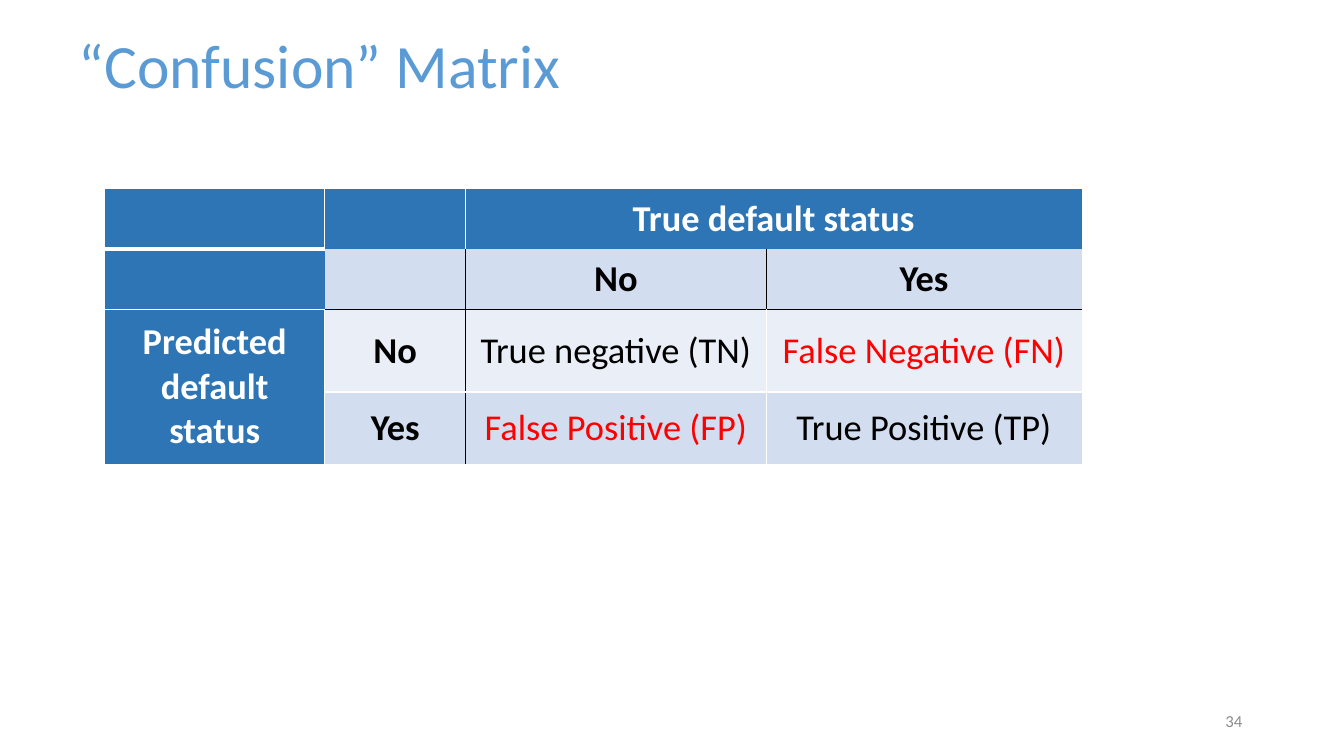
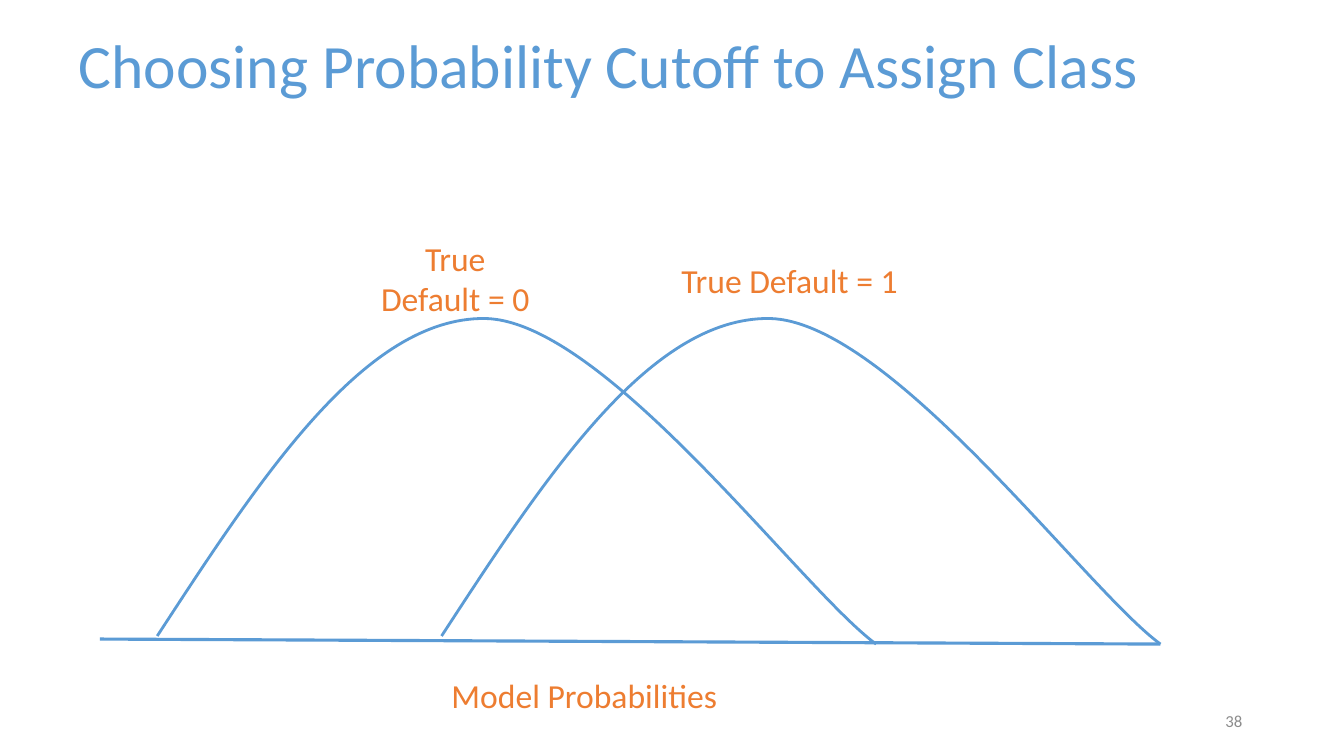
import pptx
import pptx.util
import pptx.dml.color
import pptx.enum.shapes
import pptx.enum.text
import pptx.oxml.ns
from lxml import etree

PX = 9144  # 100 px to the inch
FONT = "Calibri"
BLUE, ORANGE, GREY = "5B9BD5", "ED7D31", "8C8C8C"
HEAD, DARK_BAND, LIGHT_BAND = "2E75B6", "D2DEEF", "EAEFF7"
WHITE, BLACK, RED = "FFFFFF", "000000", "FF0000"
LEFT, CENTER, RIGHT = (pptx.enum.text.PP_ALIGN.LEFT, pptx.enum.text.PP_ALIGN.CENTER,
                       pptx.enum.text.PP_ALIGN.RIGHT)
MIDDLE, TOP = pptx.enum.text.MSO_ANCHOR.MIDDLE, pptx.enum.text.MSO_ANCHOR.TOP

TITLE_BOX = (68, 9, 1189, 118)
NUMBER_BOX = (942, 695, 300, 40)

# Confusion matrix: (text, fill, text colour, bold)
MATRIX_AT = (104, 187)
MATRIX_COLS = [218, 140, 298, 313]
MATRIX_ROWS = [60, 60, 82, 71]
MATRIX = [
    [("", HEAD, WHITE, True), ("", HEAD, WHITE, True),
     ("True default status", HEAD, WHITE, True), ("", HEAD, WHITE, True)],
    [("", HEAD, WHITE, True), ("", DARK_BAND, BLACK, True),
     ("No", DARK_BAND, BLACK, True), ("Yes", DARK_BAND, BLACK, True)],
    [("Predicted default status", HEAD, WHITE, True), ("No", LIGHT_BAND, BLACK, True),
     ("True negative (TN)", LIGHT_BAND, BLACK, False),
     ("False Negative (FN)", LIGHT_BAND, RED, False)],
    [("", HEAD, WHITE, True), ("Yes", DARK_BAND, BLACK, True),
     ("False Positive (FP)", DARK_BAND, RED, False),
     ("True Positive (TP)", DARK_BAND, BLACK, False)],
]
MERGES = [((0, 2), (0, 3)), ((2, 0), (3, 0))]
# Inner rules: (side, rows, columns, colour, points)
RULES = [
    ("R", [0, 2, 3], [0], WHITE, 1),
    ("R", [0], [1], WHITE, 1),
    ("R", [1, 2, 3], [1], BLACK, 1),
    ("R", [2, 3], [2], WHITE, 1),
    ("B", [0], [0], WHITE, 3),
    ("B", [1], [0], WHITE, 1),
    ("B", [1], [1, 2, 3], BLACK, 1),
    ("B", [2], [1, 2, 3], WHITE, 1),
]
NO_STYLE = "{2D5ABB26-0587-4C30-8999-92F81FD0307C}"

# Two class distributions: Bezier points of one curve, and where each curve starts
CURVE = [(0, 631), (103, 473), (206, 315), (325, 316), (444, 318), (639, 585), (713, 639)]
CURVE_STARTS = [156, 438]
AXIS = (99, 634, 1151, 639)
CURVE_LABELS = [
    (["True Default = 1"], (666, 253, 237, 50), LEFT),
    (["True", "Default = 0"], (367, 231, 169, 91), CENTER),
    (["Model Probabilities"], (438, 665, 294, 50), LEFT),
]


def px(*lengths):
    return [pptx.util.Emu(length * PX) for length in lengths]


def rgb(value):
    return pptx.dml.color.RGBColor.from_string(value)


def style(paragraph, size, color, bold=False, align=LEFT):
    paragraph.alignment = align
    font = paragraph.font
    font.name, font.size, font.bold = FONT, pptx.util.Pt(size), bold
    font.color.rgb = rgb(color)


def add_label(slide, lines, box, size, color, align, anchor=TOP, wrap=False):
    frame = slide.shapes.add_textbox(*px(*box)).text_frame
    frame.word_wrap, frame.vertical_anchor = wrap, anchor
    frame.text = "\n".join(lines)
    for paragraph in frame.paragraphs:
        style(paragraph, size, color, align=align)


def add_slide(deck, heading, number):
    slide = deck.slides.add_slide(deck.slide_layouts[5])
    title = slide.shapes.title
    title.left, title.top, title.width, title.height = px(*TITLE_BOX)
    frame = title.text_frame
    frame.text = heading
    frame.vertical_anchor = MIDDLE
    frame.auto_size = pptx.enum.text.MSO_AUTO_SIZE.NONE
    style(frame.paragraphs[0], 44, BLUE)
    frame.paragraphs[0].line_spacing = 0.9
    add_label(slide, [number], NUMBER_BOX, 12, GREY, RIGHT, MIDDLE, wrap=True)
    return slide


def sub(parent, tag, **attributes):
    return etree.SubElement(parent, pptx.oxml.ns.qn(tag), **attributes)


def cell_borders():
    """Each rule belongs to the two cells that meet at it."""
    borders = {}
    for side, rows, columns, color, points in RULES:
        for row in rows:
            for column in columns:
                if side == "R":
                    neighbour = (row, column + 1, "L")
                else:
                    neighbour = (row + 1, column, "T")
                borders[row, column, side] = borders[neighbour] = (color, points)
    return borders


def add_matrix(slide):
    frame = slide.shapes.add_table(len(MATRIX_ROWS), len(MATRIX_COLS), *px(
        *MATRIX_AT, sum(MATRIX_COLS), sum(MATRIX_ROWS)))
    matrix = frame.table
    matrix._tbl.tblPr.find(pptx.oxml.ns.qn("a:tableStyleId")).text = NO_STYLE
    for column, width in zip(matrix.columns, px(*MATRIX_COLS)):
        column.width = width
    for row, height in zip(matrix.rows, px(*MATRIX_ROWS)):
        row.height = height
    borders = cell_borders()
    for r, entries in enumerate(MATRIX):
        for c, (text, fill, color, bold) in enumerate(entries):
            cell = matrix.cell(r, c)
            cell.text = text
            cell.vertical_anchor = MIDDLE
            style(cell.text_frame.paragraphs[0], 26, color, bold, CENTER)
            # Border lines come before the fill
            for side in "LRTB":
                if (r, c, side) in borders:
                    line_color, points = borders[r, c, side]
                    line = sub(cell._tc.get_or_add_tcPr(), "a:ln" + side,
                               w=str(pptx.util.Pt(points)))
                    sub(sub(line, "a:solidFill"), "a:srgbClr", val=line_color)
            cell.fill.solid()
            cell.fill.fore_color.rgb = rgb(fill)
    for first, last in MERGES:
        matrix.cell(*first).merge(matrix.cell(*last))


def set_line(shape, points):
    shape.line.color.rgb = rgb(BLUE)
    shape.line.width = pptx.util.Pt(points)


def add_curve(slide, start):
    points = [(start + x, y) for x, y in CURVE]
    builder = slide.shapes.build_freeform(*points[0], scale=PX)
    builder.add_line_segments(points[1:], close=False)
    curve = builder.convert_to_shape()
    curve.shadow.inherit = False
    curve.fill.background()
    set_line(curve, 2)
    # Every three segments become one cubic Bezier
    segments = list(curve._element.iter(pptx.oxml.ns.qn("a:lnTo")))
    outline = segments[0].getparent()
    for i in range(0, len(segments), 3):
        bezier = sub(outline, "a:cubicBezTo")
        for segment in segments[i:i + 3]:
            bezier.append(segment[0])
            outline.remove(segment)


def add_distributions(slide):
    axis = slide.shapes.add_connector(pptx.enum.shapes.MSO_CONNECTOR.STRAIGHT, *px(*AXIS))
    set_line(axis, 2.25)
    sub(axis._element.spPr, "a:effectLst")
    for start in CURVE_STARTS:
        add_curve(slide, start)
    for lines, box, align in CURVE_LABELS:
        add_label(slide, lines, box, 24, ORANGE, align)


def main():
    deck = pptx.Presentation()
    deck.slide_width, deck.slide_height = px(1333, 750)
    add_matrix(add_slide(deck, "“Confusion” Matrix", "34"))
    add_distributions(add_slide(deck, "Choosing Probability Cutoff to Assign Class", "38"))
    deck.save("out.pptx")


if __name__ == "__main__":
    main()
